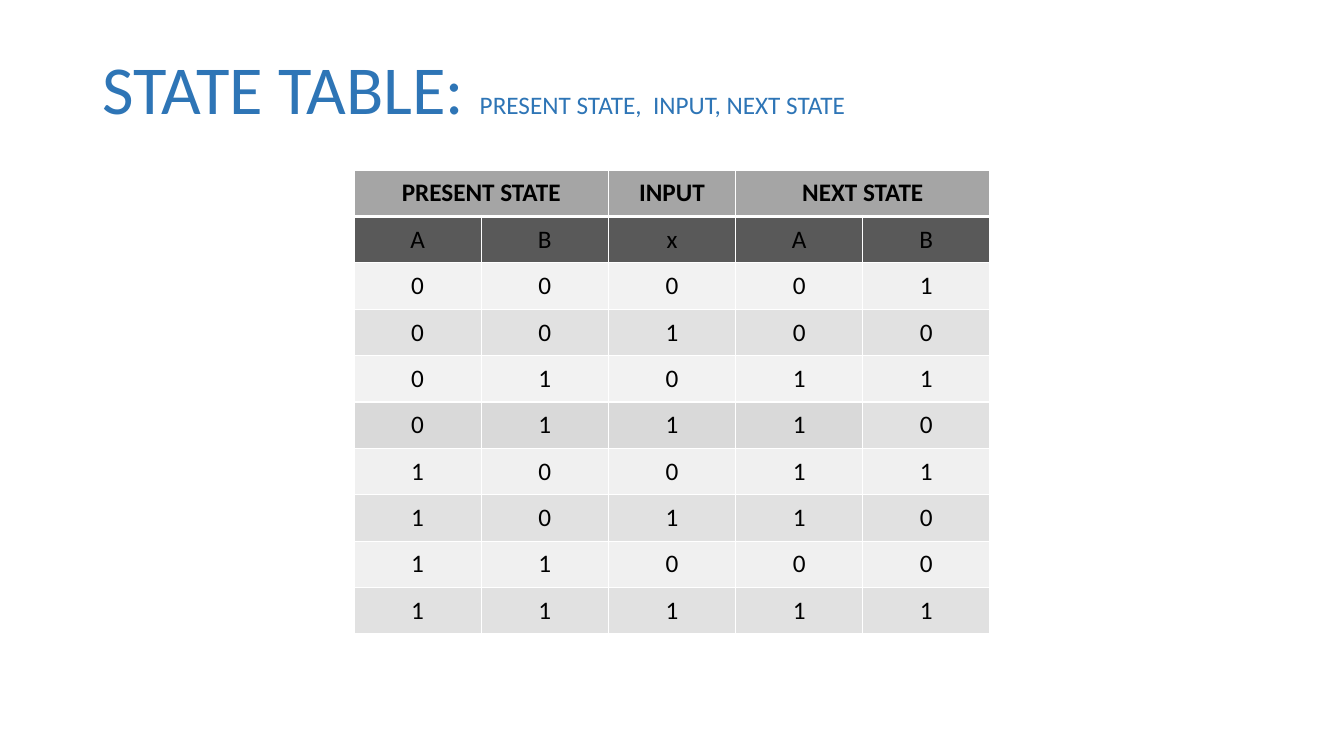
from lxml.etree import SubElement
from pptx import Presentation
from pptx.dml.color import RGBColor
from pptx.enum.text import MSO_ANCHOR, PP_ALIGN
from pptx.oxml.ns import qn
from pptx.util import Emu, Pt

COLORS = {
    "title": "2E75B6", "text": "000000", "border": "FFFFFF",
    "header": "A5A5A5", "variables": "595959", "light": "F2F2F2",
    "pale": "F0F0F0", "band": "E1E1E1", "dark_band": "D9D9D9",
}
TITLE_RUNS = [("STATE TABLE: ", 49), ("PRESENT STATE,  INPUT, NEXT STATE", 18)]
HEADER_SPANS = [("PRESENT STATE", 0, 1), ("INPUT", 2, 2), ("NEXT STATE", 3, 4)]
STATE_ROWS = [
    ("ABxAB", "variables", "variables"),
    ("00001", "light", "pale"),
    ("00100", "band", "band"),
    ("01011", "light", "pale"),
    ("01110", "dark_band", "band"),
    ("10011", "pale", "pale"),
    ("10110", "band", "band"),
    ("11000", "pale", "pale"),
    ("11111", "band", "band"),
]
SLIDE_SIZE = (1344, 756)
TITLE_BOX = (93, 40, 1159, 104)
TABLE_BOX = (354, 170, 636, 464)
EMU_PER_PIXEL = 914400 / 100.8


def scaled(*pixels):
    return [Emu(round(value * EMU_PER_PIXEL)) for value in pixels]


def apply_font(font, size, color, bold=False):
    formats = {"name": "Calibri", "size": Pt(size), "bold": bold}
    for attribute, value in formats.items():
        setattr(font, attribute, value)
    font.color.rgb = RGBColor.from_string(COLORS[color])


def add_title(slide):
    frame = slide.shapes.add_textbox(*scaled(*TITLE_BOX)).text_frame
    frame.word_wrap = True
    frame.vertical_anchor = MSO_ANCHOR.MIDDLE
    paragraph = frame.paragraphs[0]
    paragraph.line_spacing = 0.9
    for text, size in TITLE_RUNS:
        run = paragraph.add_run()
        run.text = text
        apply_font(run.font, size, "title")


def style_cell(cell, row, fill):
    properties = cell._tc.get_or_add_tcPr()
    widths = {"lnL": 1, "lnR": 1, "lnT": 3 if row == 1 else 1, "lnB": 3 if row == 0 else 1}
    for side, width in widths.items():
        line = SubElement(properties, qn(f"a:{side}"), w=str(Pt(width)))
        solid = SubElement(line, qn("a:solidFill"))
        SubElement(solid, qn("a:srgbClr"), val=COLORS["border"])
    cell.fill.solid()
    cell.fill.fore_color.rgb = RGBColor.from_string(COLORS[fill])
    cell.vertical_anchor = MSO_ANCHOR.MIDDLE


def write_cell(cell, text, bold=False):
    paragraph = cell.text_frame.paragraphs[0]
    paragraph.alignment = PP_ALIGN.CENTER
    run = paragraph.add_run()
    run.text = text
    apply_font(run.font, 18, "text", bold)


def add_state_table(slide):
    row_count, column_count = len(STATE_ROWS) + 1, len(STATE_ROWS[0][0])
    left, top, width, height = scaled(*TABLE_BOX)
    table = slide.shapes.add_table(row_count, column_count, left, top, width, height).table
    table.first_row = table.horz_banding = False

    for column in range(column_count):
        style_cell(table.cell(0, column), 0, "header")
    for text, first, last in HEADER_SPANS:
        cell = table.cell(0, first)
        if last > first:
            cell.merge(table.cell(0, last))
        write_cell(cell, text, bold=True)

    for row, (values, fill, last_fill) in enumerate(STATE_ROWS, start=1):
        for column, value in enumerate(values):
            cell = table.cell(row, column)
            style_cell(cell, row, last_fill if column == column_count - 1 else fill)
            write_cell(cell, value)


def main():
    presentation = Presentation()
    presentation.slide_width, presentation.slide_height = scaled(*SLIDE_SIZE)
    slide = presentation.slides.add_slide(presentation.slide_layouts[6])
    add_title(slide)
    add_state_table(slide)
    presentation.save("out.pptx")


if __name__ == "__main__":
    main()
